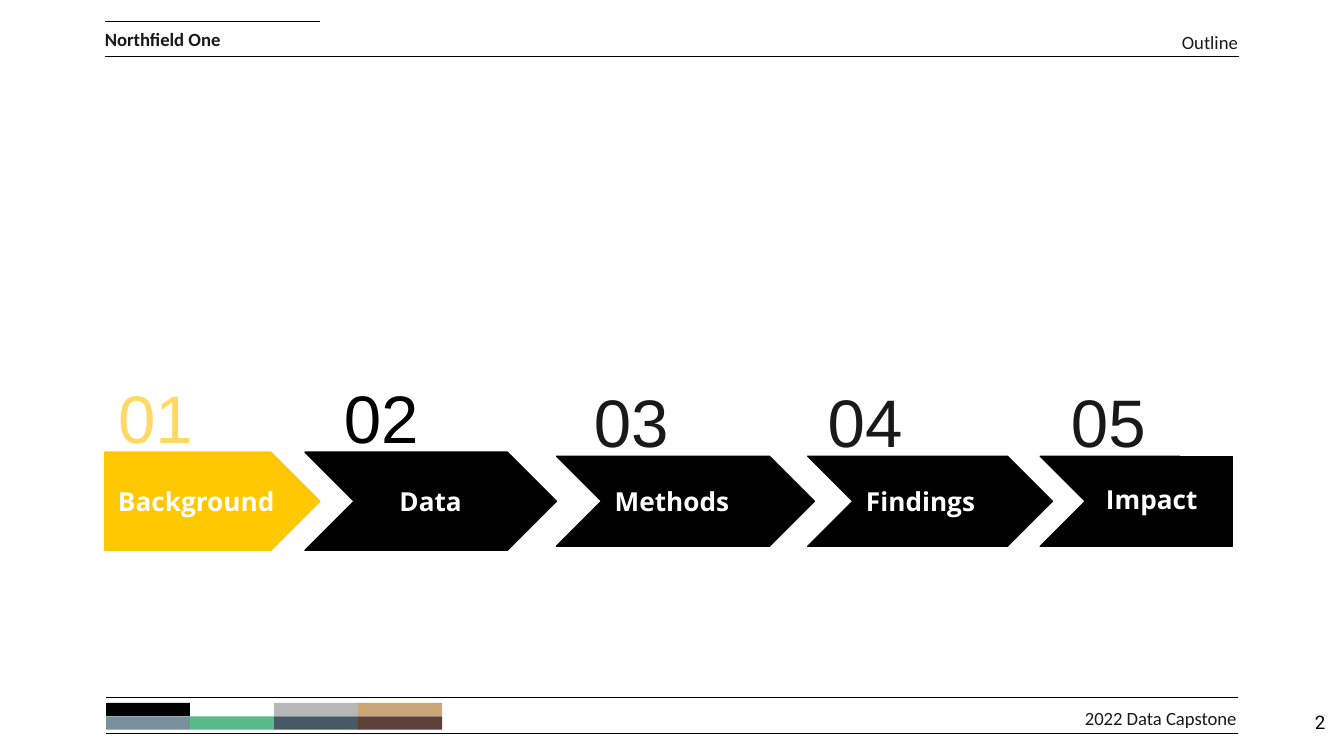
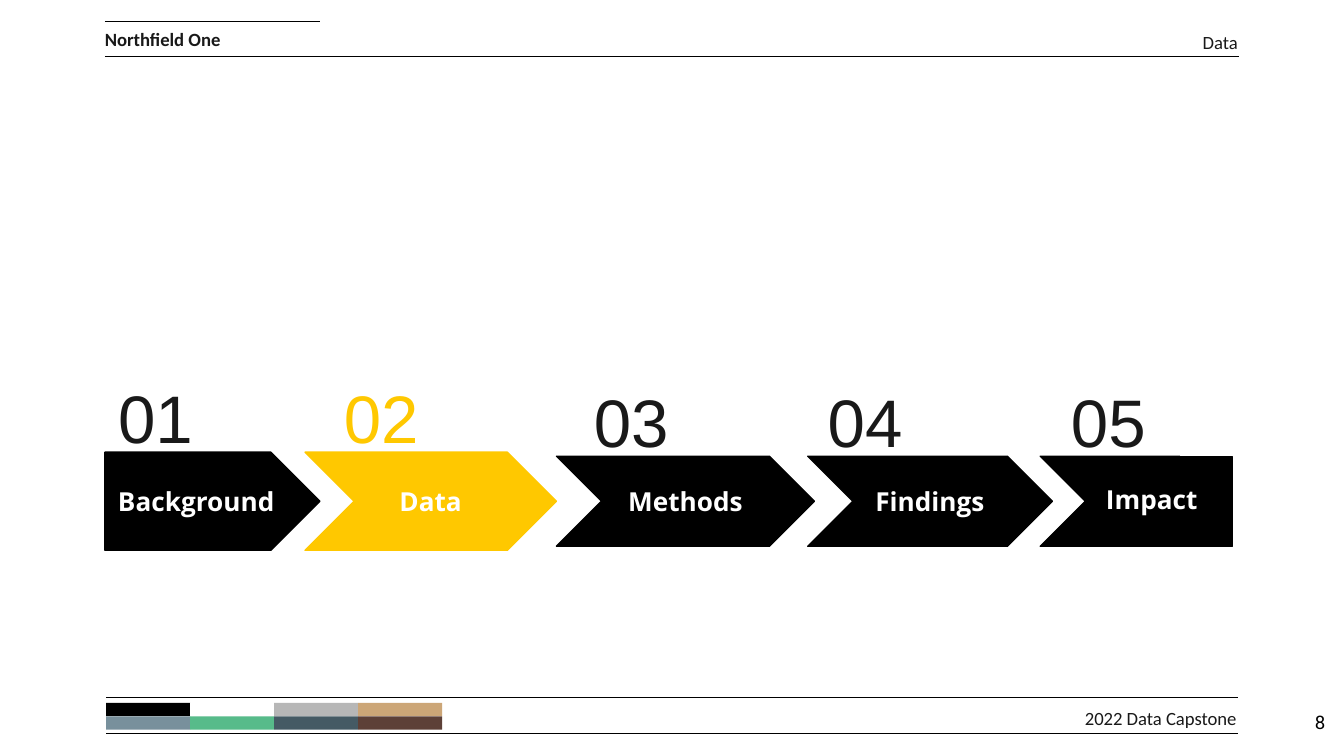
from lxml import etree
from pptx import Presentation
from pptx.dml.color import RGBColor
from pptx.enum import shapes as kinds, text as txt
from pptx import util as u
from pptx.oxml.ns import qn

WIDTH = 10
HEIGHT = WIDTH * 9 / 16
BLACK, INK, WHITE, GOLD, PALE_GOLD = "000000", "191919", "FFFFFF", "FFC800", "FFD966"
LEFT, CENTER, RIGHT = txt.PP_ALIGN.LEFT, txt.PP_ALIGN.CENTER, txt.PP_ALIGN.RIGHT
MIDDLE, TOP = txt.MSO_ANCHOR.MIDDLE, txt.MSO_ANCHOR.TOP
SHAPE = kinds.MSO_SHAPE

ORGANISATION = "Northfield One"
EVENT = "2022 Data Capstone"
RULES = [(0.78, 9.22, 0.42), (0.78, 2.38, 0.16), (0.79, 9.21, 5.46), (0.79, 9.21, 5.19)]
SWATCHES = [
    [BLACK, WHITE, "B7B7B7", "CCA677"],
    ["78909C", "57BB8A", "455A64", "5D4037"],
]
SWATCH_LEFT, SWATCH_TOP, SWATCH_W, SWATCH_H = 0.79, 5.23, 2.5 / 4, 0.1

# label, arrow left, arrow width, arrow height, number left, number width
STAGES = [
    ("Background", 0.78, 1.6, 0.73, 0.78, 0.78),
    ("Data", 2.27, 1.87, 0.73, 2.46, 0.78),
    ("Methods", 4.14, 1.92, 0.67, 4.32, 0.87),
    ("Findings", 6.01, 1.82, 0.67, 6.06, 0.78),
    ("Impact", 7.74, 1.37, 0.67, 7.87, 0.78),
]
STAGE_MIDDLE = 3.73
NUMBER_H = NUMBER_RISE = 0.53
TAIL_LEFT, TAIL_W = 8.77, 0.4

SLIDES = [
    {"title": "Outline", "page": "2", "active": "Background",
     "numbers": [PALE_GOLD, BLACK, INK, INK, INK],
     "aligns": [LEFT, CENTER, LEFT, LEFT, LEFT]},
    {"title": "Data", "page": "8", "active": "Data",
     "numbers": [INK, GOLD, INK, INK, INK],
     "aligns": [LEFT, CENTER, CENTER, CENTER, LEFT]},
]


def rgb(value):
    return RGBColor.from_string(value)


def inches(*lengths):
    return [u.Inches(length) for length in lengths]


def write(shape, words, size, font, color, bold=False, align=LEFT, anchor=MIDDLE, inset=0.1):
    frame = shape.text_frame
    frame.text = words
    frame.word_wrap = True
    frame.auto_size = txt.MSO_AUTO_SIZE.NONE
    frame.vertical_anchor = anchor
    frame.margin_left = frame.margin_right = u.Inches(inset)
    frame.margin_top = frame.margin_bottom = u.Inches(inset)
    paragraph = frame.paragraphs[0]
    paragraph.alignment = align
    style = paragraph.runs[0].font
    style.size, style.name, style.bold = u.Pt(size), font, bold
    style.color.rgb = rgb(color)


def add_text(shapes, box, words, *style, **options):
    write(shapes.add_textbox(*inches(*box)), words, *style, **options)


def add_block(shapes, preset, box, fill, outlined=True):
    block = shapes.add_shape(preset, *inches(*box))
    block.shadow.inherit = False
    block.fill.solid()
    block.fill.fore_color.rgb = rgb(fill)
    if outlined:
        block.line.color.rgb = rgb(fill)
        block.line.width = u.Pt(0.75)
    else:
        block.line.fill.background()
    return block


def add_rule(shapes, start, end, y):
    rule = shapes.add_connector(kinds.MSO_CONNECTOR.STRAIGHT, *inches(start, y, end, y))
    rule.line.color.rgb = rgb(BLACK)
    rule.line.width = u.Pt(0.75)
    etree.SubElement(rule._element.spPr, qn("a:effectLst"))


def add_frame(slide, title, page):
    """Draw the header and footer that every slide carries."""
    shapes = slide.shapes
    for rule in RULES:
        add_rule(shapes, *rule)
    swatches = shapes.add_group_shape().shapes
    for row, colors in enumerate(SWATCHES):
        for column, color in enumerate(colors):
            box = (SWATCH_LEFT + column * SWATCH_W, SWATCH_TOP + row * SWATCH_H,
                   SWATCH_W, SWATCH_H)
            add_block(swatches, SHAPE.RECTANGLE, box, color, outlined=False)

    heading = shapes.title
    heading.left, heading.top, heading.width, heading.height = inches(7.01, 0.26, 2.2, 0.1)
    write(heading, title, 10, "Calibri", INK, align=RIGHT, inset=0)
    add_text(shapes, (0.78, 0.24, 2.62, 0.1), ORGANISATION, 10, "Calibri", INK,
             bold=True, inset=0)
    add_text(shapes, (7, 5.29, 2.2, 0.1), EVENT, 10, "Calibri", INK, align=RIGHT, inset=0)
    add_text(shapes, (9.36, 5.19, 0.6, 0.43), page, 10, "Roboto", BLACK,
             align=RIGHT, anchor=TOP)


def add_stages(slide, active, numbers, aligns):
    for index, (label, left, width, height, number_left, number_w) in enumerate(STAGES):
        stage = slide.shapes.add_group_shape().shapes
        top = STAGE_MIDDLE - height / 2
        fill = GOLD if label == active else BLACK
        is_last = index == len(STAGES) - 1
        if is_last:
            add_block(stage, SHAPE.FLOWCHART_PROCESS, (TAIL_LEFT, top, TAIL_W, height), fill)
        add_text(stage, (number_left, top - NUMBER_RISE, number_w, NUMBER_H),
                 f"{index + 1:02}", 36, "Arial", numbers[index])
        preset = SHAPE.CHEVRON if index else SHAPE.PENTAGON
        arrow = add_block(stage, preset, (left, top, width, height), fill)
        arrow.adjustments[0] = 0.5
        label_style = (label, 14, "Open Sans", WHITE, True, aligns[index])
        if is_last:
            add_text(stage, (8.13, 3.5, 1.08, 0.44), *label_style, anchor=TOP)
        else:
            write(arrow, *label_style)


def main():
    deck = Presentation()
    deck.slide_width, deck.slide_height = inches(WIDTH, HEIGHT)
    for content in SLIDES:
        slide = deck.slides.add_slide(deck.slide_layouts.get_by_name("Title Only"))
        add_frame(slide, content["title"], content["page"])
        add_stages(slide, content["active"], content["numbers"], content["aligns"])
    deck.save("out.pptx")


if __name__ == "__main__":
    main()
